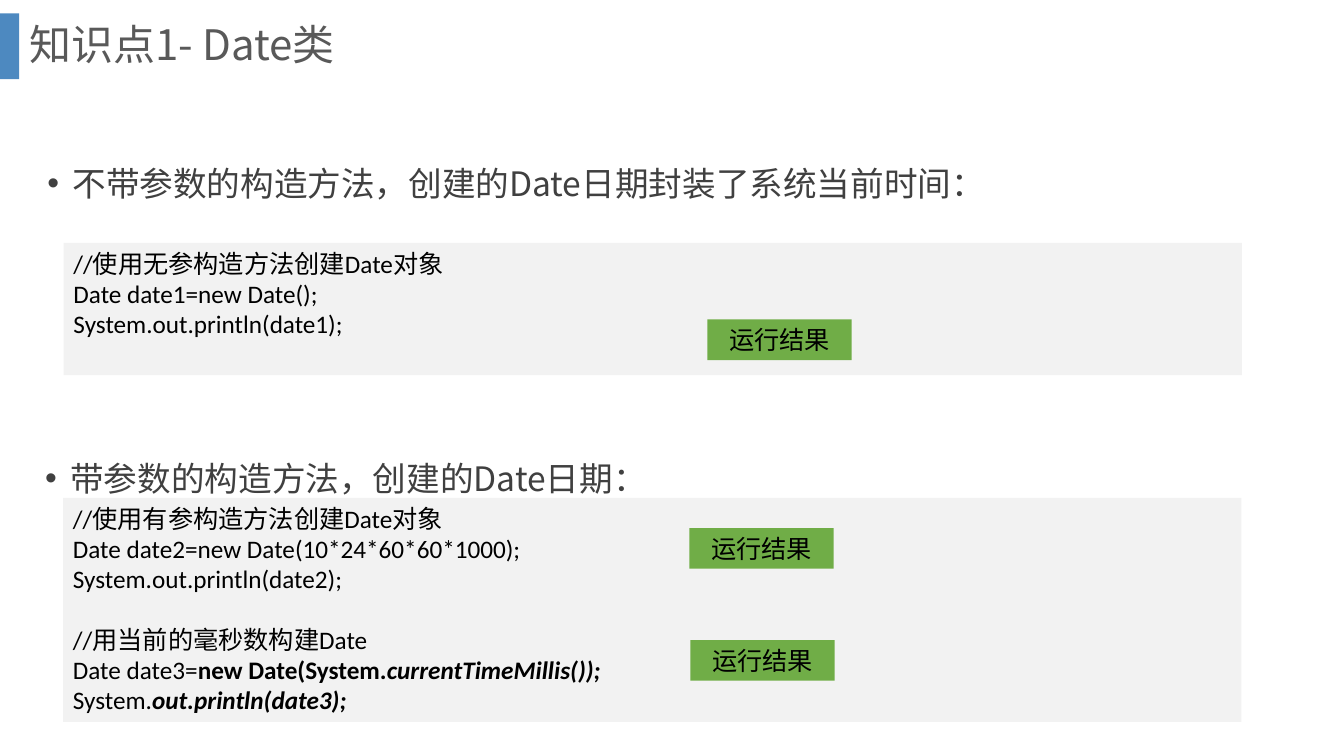
from dataclasses import dataclass

from lxml import etree
from pptx import Presentation
from pptx.dml.color import RGBColor
from pptx.enum import shapes, text
from pptx.oxml import ns
from pptx.util import Pt


@dataclass(frozen=True)
class Theme:
    heading_font: str = "Noto Sans CJK SC"
    code_font: str = "Calibri"
    title_size: int = 30
    bullet_size: int = 24
    code_size: int = 18
    code_line: float = 21.6
    title: str = "595959"
    bullet: str = "404040"
    code: str = "000000"
    accent: str = "2E75B6"
    panel: str = "F2F2F2"
    button: str = "70AD47"


THEME = Theme()

NO_ARGS_CODE = [
    "//使用无参构造方法创建Date对象",
    "Date date1=new Date();",
    "System.out.println(date1);",
]
# A line is plain text or a list of (text, bold, italic) runs.
WITH_ARGS_CODE = [
    "//使用有参构造方法创建Date对象",
    "Date date2=new Date(10*24*60*60*1000);",
    "System.out.println(date2);",
]
MILLIS_CODE = [
    "//用当前的毫秒数构建Date",
    [("Date date3=", False, False), ("new Date(System.", True, False),
     ("currentTimeMillis());", True, True)],
    [("System.", False, False), ("out.println(date3);", True, True)],
]


def place(s, left, top, width, height):
    s.left, s.top, s.width, s.height = map(Pt, (left, top, width, height))


def style_run(r, font, size, color):
    r.font.name, r.font.size = font, Pt(size)
    r.font.color.rgb = RGBColor.from_string(color)
    if font == THEME.heading_font:
        ea = etree.Element(ns.qn("a:ea"), typeface=font)
        r.font._element.find(ns.qn("a:latin")).addnext(ea)


def add_rect(s, box, color, opacity=100):
    sp = s.shapes.add_shape(shapes.MSO_SHAPE.RECTANGLE, *map(Pt, box))
    sp.shadow.inherit = False
    sp.fill.solid()
    sp.fill.fore_color.rgb = RGBColor.from_string(color)
    sp.line.fill.background()
    if opacity < 100:
        clr = sp._element.spPr.find(".//" + ns.qn("a:srgbClr"))
        etree.SubElement(clr, ns.qn("a:alpha"), val=str(opacity * 1000))
    return sp


def set_title(sp, wording):
    place(sp, 13.7, 0, 911.5, 67)
    tf = sp.text_frame
    tf.text = wording
    tf.auto_size = text.MSO_AUTO_SIZE.NONE
    tf.vertical_anchor = text.MSO_ANCHOR.MIDDLE
    p = tf.paragraphs[0]
    p.alignment, p.line_spacing = text.PP_ALIGN.LEFT, 0.9
    style_run(p.runs[0], THEME.heading_font, THEME.title_size, THEME.title)


def set_bullet(sp, wording):
    tf = sp.text_frame
    tf.text = wording
    tf.word_wrap = True
    tf.auto_size = text.MSO_AUTO_SIZE.NONE
    tf.vertical_anchor = text.MSO_ANCHOR.TOP
    p = tf.paragraphs[0]
    pPr = p._p.get_or_add_pPr()
    pPr.set("marL", str(Pt(18)))
    pPr.set("indent", str(Pt(-18)))
    etree.SubElement(pPr, ns.qn("a:buFont"), typeface="Arial")
    etree.SubElement(pPr, ns.qn("a:buChar"), char="•")
    p.line_spacing, p.space_before = 1.5, Pt(0)
    style_run(p.runs[0], THEME.heading_font, THEME.bullet_size, THEME.bullet)


def add_code(s, box, *blocks):
    """Add a code panel; blocks are set apart by one line's height."""
    tf = add_rect(s, box, THEME.panel).text_frame
    tf.word_wrap = True
    tf.vertical_anchor = text.MSO_ANCHOR.TOP
    lines = [(line, b > 0 and i == 0)
             for b, block in enumerate(blocks) for i, line in enumerate(block)]
    for n, (line, gap) in enumerate(lines):
        p = tf.add_paragraph() if n else tf.paragraphs[0]
        p.alignment = text.PP_ALIGN.LEFT
        if gap:
            p.space_before = Pt(THEME.code_line)
        runs = [(line, False, False)] if isinstance(line, str) else line
        for wording, bold, italic in runs:
            r = p.add_run()
            r.text = wording
            style_run(r, THEME.code_font, THEME.code_size, THEME.code)
            r.font.bold, r.font.italic = bold, italic


def add_button(s, left, top):
    tf = add_rect(s, (left, top, 103, 29), THEME.button).text_frame
    tf.text = "运行结果"
    tf.vertical_anchor = text.MSO_ANCHOR.TOP
    p = tf.paragraphs[0]
    p.alignment = text.PP_ALIGN.CENTER
    style_run(p.runs[0], THEME.code_font, THEME.code_size, THEME.code)


def main():
    prs = Presentation()
    prs.slide_width, prs.slide_height = Pt(960), Pt(540)
    s = prs.slides.add_slide(prs.slide_layouts[1])
    title, body = s.placeholders

    add_rect(s, (0, 9.5, 13.7, 47), THEME.accent, opacity=85)
    set_title(title, "知识点1- Date类")

    place(body, 26.6, 98.6, 867.6, 206)
    set_bullet(body, "不带参数的构造方法，创建的Date日期封装了系统当前时间：")
    add_code(s, (45.4, 173.5, 841.7, 94.5), NO_ARGS_CODE)

    second = s.shapes.add_textbox(Pt(25.2), Pt(309), Pt(867.6), Pt(46.8))
    set_bullet(second, "带参数的构造方法，创建的Date日期：")
    add_code(s, (45, 355.7, 841.7, 160), WITH_ARGS_CODE, MILLIS_CODE)

    for left, top in ((505.4, 228.2), (492.5, 377.2), (493.2, 457.2)):
        add_button(s, left, top)
    prs.save("out.pptx")


if __name__ == "__main__":
    main()
